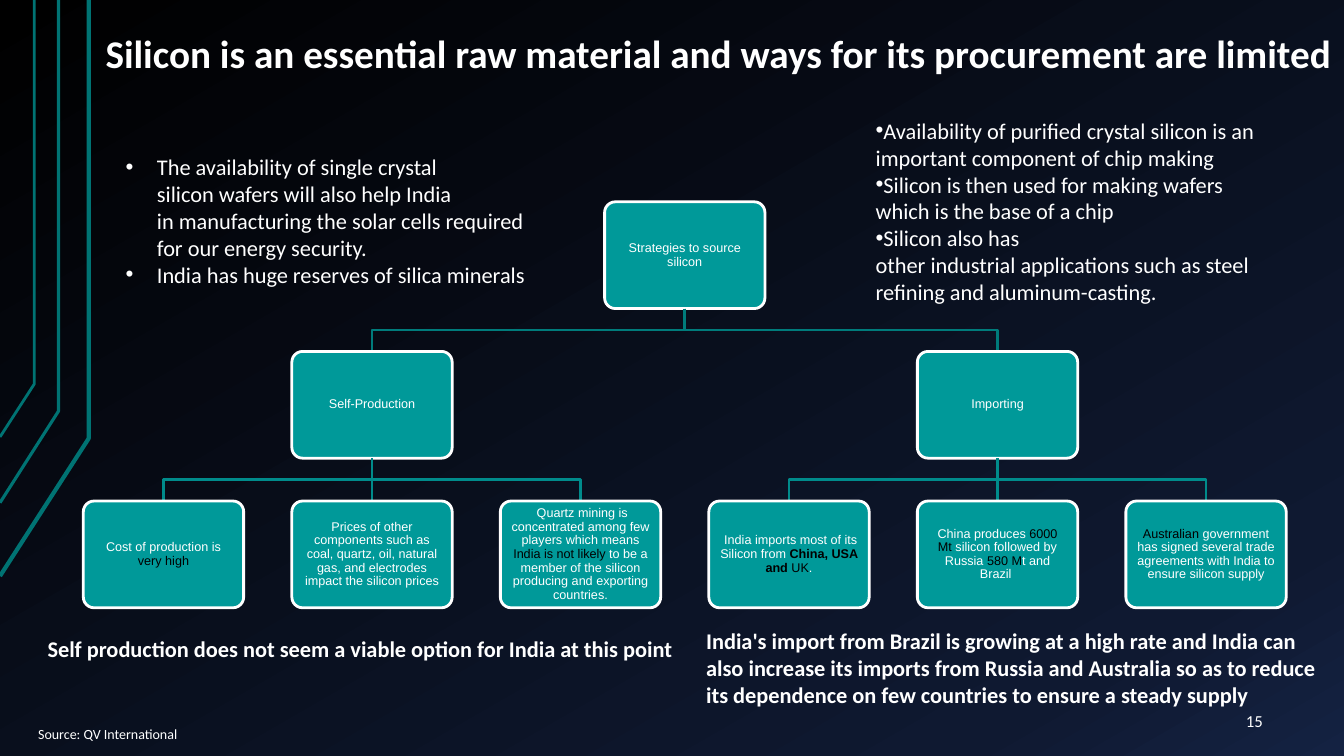
from dataclasses import dataclass

from lxml.etree import SubElement
from pptx import Presentation
from pptx.dml.color import RGBColor
from pptx.enum.shapes import MSO_CONNECTOR as Connector, MSO_SHAPE as Preset
from pptx.enum.text import MSO_ANCHOR as Anchor, MSO_AUTO_SIZE as AutoSize, PP_ALIGN as Align
from pptx.oxml.ns import qn
from pptx.util import Inches, Pt

WHITE, BLACK, TEAL = "FFFFFF", "000000", "009999"
TRUNK, BRANCH, STRIPE = "007B7B", "008B8B", "007373"
BACKGROUND = [(0, "000000"), (85, "0F1931"), (100, "142242")]
RUN_STYLES = {"plain": (WHITE, False), "dark": (BLACK, False), "strong": (BLACK, True)}

LEFT_POINTS = [
    "The availability of single\u00a0crystal silicon\u00a0wafers will also help\u00a0India "
    "in\u00a0manufacturing\u00a0the solar cells\u00a0required for our energy\u00a0security.",
    "India has huge reserves of silica\u00a0minerals",
]
RIGHT_POINTS = [
    "Availability of\u00a0purified crystal silicon is an important component of chip\u00a0making",
    "Silicon is then used for making wafers which is the base of a\u00a0chip",
    "Silicon also has other\u00a0industrial\u00a0applications such as steel refining "
    "and\u00a0aluminum-casting.",
]
ROOT = [("Strategies to source silicon", "plain")]
STRATEGIES = [
    ([("Self-Production", "plain")], [
        [("Cost of production is ", "plain"), ("very high", "dark")],
        [("Prices of other components such as coal, quartz, oil, natural gas, and electrodes "
          "impact the silicon prices", "plain")],
        [("\u00a0Quartz mining is concentrated among few players which means ", "plain"),
         ("India is not likely", "dark"),
         (" to be a member of the silicon producing and exporting countries.", "plain")],
    ]),
    ([("Importing", "plain")], [
        [("\u00a0India imports most of its Silicon from\u00a0", "plain"),
         ("China, USA and ", "strong"), ("UK", "dark"), (".", "plain")],
        [("China produces ", "plain"), ("6000 Mt", "dark"),
         ("\u00a0silicon followed by Russia ", "plain"), ("580 M", "dark"),
         ("t and Brazil\u00a0", "plain")],
        [("Australian", "dark"),
         (" government has signed\u00a0several trade agreements with India to ensure "
          "silicon supply", "plain")],
    ]),
]


@dataclass
class Box:
    left: float
    top: float
    width: float
    height: float

    def area(self, left, top, width, height):
        return Box(self.left + self.width * left / 100, self.top + self.height * top / 100,
                   self.width * width / 100, self.height * height / 100)

    def point(self, across, down):
        spot = self.area(across, down, 0, 0)
        return int(spot.left), int(spot.top)

    def lengths(self):
        return [int(value) for value in (self.left, self.top, self.width, self.height)]


def colour(value):
    return RGBColor.from_string(value)


def apply(target, formats):
    for name, value in formats.items():
        setattr(target, name, value)


def write(paragraph, runs, size, font="Calibri", **formats):
    apply(paragraph, formats)
    for text, tint, bold in runs:
        run = paragraph.add_run()
        run.text = text
        apply(run.font, {"size": Pt(size), "name": font, "bold": bold})
        run.font.color.rgb = colour(tint)


def draw_line(line, tint, width):
    line.color.rgb = colour(tint)
    line.width = Pt(width)


def polyline(slide, points, tint, width):
    builder = slide.shapes.build_freeform(*points[0])
    builder.add_line_segments(points[1:], close=False)
    shape = builder.convert_to_shape()
    shape.shadow.inherit = False
    shape.fill.background()
    draw_line(shape.line, tint, width)


def straight(slide, start, end, tint, width):
    connector = slide.shapes.add_connector(Connector.STRAIGHT, *start, *end)
    SubElement(connector._element.spPr, qn("a:effectLst"))
    draw_line(connector.line, tint, width)


def place_background(slide):
    fill = slide.background.fill
    fill.gradient()
    fill.gradient_angle = 300
    stops = slide._element.find(".//" + qn("a:gsLst"))
    for stop in list(stops):
        stops.remove(stop)
    for position, tint in BACKGROUND:
        stop = SubElement(stops, qn("a:gs"), pos=str(position * 1000))
        SubElement(stop, qn("a:srgbClr"), val=tint)


def place_stripes(slide, box):
    for right, bend, foot, width in [(6.6, 58, 76.2, 3), (4.35, 54.4, 66.5, 2.25),
                                     (2.55, 50.8, 57.8, 2)]:
        points = [box.point(0, foot), box.point(right, bend), box.point(right, 0)]
        polyline(slide, points, STRIPE, width)


def move(shape, box):
    apply(shape, dict(zip(("left", "top", "width", "height"), box.lengths())))


def place_title(slide, box, text):
    title = slide.shapes.title
    move(title, box)
    apply(title.text_frame, {"word_wrap": False, "auto_size": AutoSize.NONE,
                             "vertical_anchor": Anchor.TOP})
    write(title.text_frame.paragraphs[0], [(text, WHITE, True)], 28, alignment=Align.LEFT)


def place_list(placeholder, box, points, indent):
    move(placeholder, box)
    frame = placeholder.text_frame
    apply(frame, {"word_wrap": True, "auto_size": AutoSize.NONE, "vertical_anchor": Anchor.TOP})
    for index, text in enumerate(points):
        paragraph = frame.add_paragraph() if index else frame.paragraphs[0]
        write(paragraph, [(text, WHITE, False)], 16, space_before=Pt(0))
        properties = paragraph._p.get_or_add_pPr()
        properties.set("marL", str(Inches(indent)))
        properties.set("indent", str(-Inches(indent)))


def place_note(slide, box, text, size, bold=False, align=Align.LEFT, anchor=Anchor.TOP):
    frame = slide.shapes.add_textbox(*box.lengths()).text_frame
    apply(frame, {"word_wrap": True, "vertical_anchor": anchor})
    write(frame.paragraphs[0], [(text, WHITE, bold)], size, alignment=align)


def place_node(slide, box, runs):
    shape = slide.shapes.add_shape(Preset.ROUNDED_RECTANGLE, *box.lengths())
    shape.shadow.inherit = False
    shape.adjustments[0] = 0.1
    shape.fill.solid()
    shape.fill.fore_color.rgb = colour(TEAL)
    draw_line(shape.line, WHITE, 2)
    frame = shape.text_frame
    margins = {f"margin_{side}": Inches(0.07) for side in ("left", "top", "right", "bottom")}
    apply(frame, {"word_wrap": True, "vertical_anchor": Anchor.MIDDLE, **margins})
    styled = [(text, *RUN_STYLES[style]) for text, style in runs]
    write(frame.paragraphs[0], styled, 9, "Arial", alignment=Align.CENTER, line_spacing=0.9)


def link(slide, parent, child, tint):
    start, end = parent.point(50, 100), child.point(50, 0)
    if abs(start[0] - end[0]) < Inches(0.01):
        straight(slide, start, end, tint, 2)
        return
    middle = (start[1] + end[1]) // 2
    polyline(slide, [start, (start[0], middle), (end[0], middle), end], tint, 2)


def place_tree(slide, box):
    node_width, node_height = 13.33, 26.3
    column_step, row_step = (100 - node_width) / 5, (100 - node_height) / 2

    def cell(column, row):
        return box.area(column * column_step, row * row_step, node_width, node_height)

    root = cell(2.5, 0)
    place_node(slide, root, ROOT)
    for group, (strategy, findings) in enumerate(STRATEGIES):
        branch = cell(group * 3 + 1, 1)
        link(slide, root, branch, TRUNK)
        place_node(slide, branch, strategy)
        for index, finding in enumerate(findings):
            leaf = cell(group * 3 + index, 2)
            link(slide, branch, leaf, BRANCH)
            place_node(slide, leaf, finding)


def build():
    presentation = Presentation()
    apply(presentation, {"slide_width": Inches(13.33), "slide_height": Inches(7.5)})
    page = Box(0, 0, presentation.slide_width, presentation.slide_height)
    slide = presentation.slides.add_slide(presentation.slide_layouts[3])
    _, left_list, right_list = slide.placeholders
    place_background(slide)
    place_stripes(slide, page)
    place_title(slide, page.area(7.1, 3.2, 92.9, 7.6),
                "Silicon is an essential raw material and ways for its procurement are limited")
    place_list(left_list, page.area(8.6, 19.6, 31.8, 22.4), LEFT_POINTS, 0.31)
    place_list(right_list, page.area(64.4, 14.8, 30.6, 26.5), RIGHT_POINTS, 0)
    place_tree(slide, page.area(6.2, 26.7, 89.5, 53.7))
    place_note(slide, page.area(2.8, 83.3, 48.2, 4.9),
               "Self production does not seem a viable option for India at this\u00a0point", 16, True)
    place_note(slide, page.area(51.8, 82.3, 47.7, 12.1),
               "India's import from Brazil is growing at a\u00a0high rate and India can also increase "
               "its imports from Russia\u00a0and Australia\u00a0so as to\u00a0reduce its dependence "
               "on few\u00a0countries to ensure a steady supply", 16, True)
    place_note(slide, page.area(86.6, 92.7, 8.1, 5.3), "15", 12,
               align=Align.RIGHT, anchor=Anchor.MIDDLE)
    place_note(slide, page.area(2.1, 95.3, 25, 3.6), "Source: QV International", 10)
    presentation.save("out.pptx")


build()
